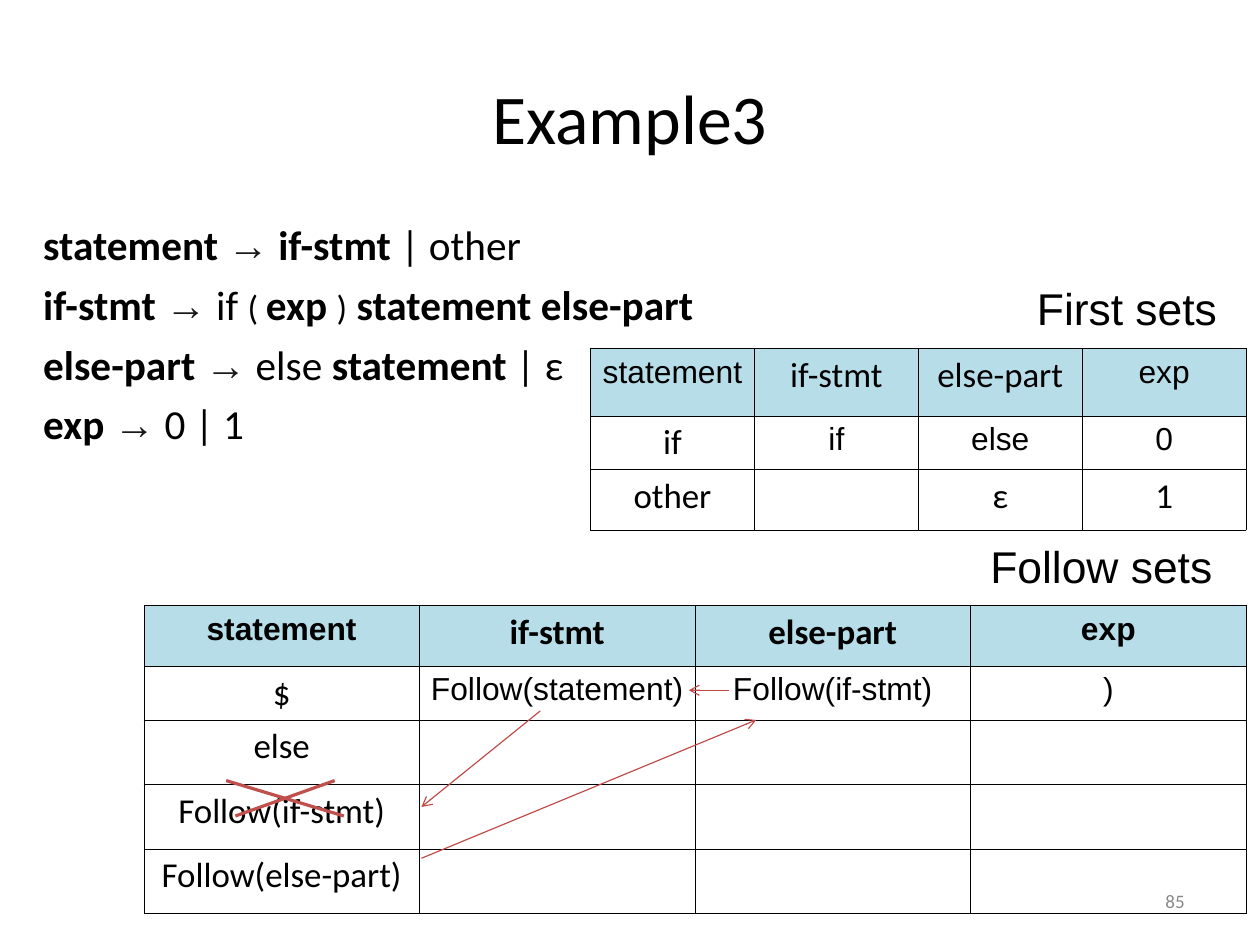
"""Build the Example3 slide: a grammar with its First and Follow sets."""
from dataclasses import dataclass

from lxml import etree
from pptx import Presentation
from pptx.dml.color import RGBColor
from pptx.enum.shapes import MSO_CONNECTOR
from pptx.enum.text import MSO_ANCHOR, PP_ALIGN
from pptx.oxml.ns import qn
from pptx.util import Inches, Length, Pt

STRAIGHT = MSO_CONNECTOR.STRAIGHT
TOP, MIDDLE = MSO_ANCHOR.TOP, MSO_ANCHOR.MIDDLE
LEFT, CENTER, RIGHT = PP_ALIGN.LEFT, PP_ALIGN.CENTER, PP_ALIGN.RIGHT
WIDTH, HEIGHT = Inches(11.03), Inches(8.26)


@dataclass(frozen=True)
class Theme:
    serifless: str = "Calibri"
    plain: str = "Arial"
    ink: str = "000000"
    arrow_ink: str = "191919"
    faint: str = "898989"
    header: str = "B7DEE8"
    trace: str = "BE4B48"
    strike: str = "C0504D"
    title_size: int = 44
    caption_size: int = 28
    rule_size: int = 26
    bracket_size: int = 22
    cell_size: int = 22
    plain_cell_size: int = 20
    number_size: int = 12
    border: float = 0.34
    rule_gap: float = 6.5


THEME = Theme()


@dataclass(frozen=True)
class Area:
    """Left, top, width and height in hundredths of the slide."""
    left: float
    top: float
    width: float
    height: float


@dataclass(frozen=True)
class Label:
    text: str
    area: Area
    font: str
    size: int
    color: str = THEME.ink
    align: PP_ALIGN = LEFT
    anchor: MSO_ANCHOR = TOP
    wrap: bool = True


@dataclass(frozen=True)
class Sets:
    left: float
    top: float
    width: float
    row_heights: tuple[float, ...]
    rows: tuple[tuple[str, ...], ...]
    bold_header: bool


@dataclass(frozen=True)
class Stroke:
    start: tuple[float, float]
    end: tuple[float, float]
    color: str = THEME.trace
    weight: float = 0.75
    arrow: bool = True


LABELS = (
    Label("85", Area(71.62, 92.74, 23.3, 5.33), THEME.serifless, THEME.number_size,
          THEME.faint, RIGHT, MIDDLE),
    Label("Example3", Area(5, 4, 90, 16.7), THEME.serifless, THEME.title_size,
          align=CENTER, anchor=MIDDLE),
    Label("First sets", Area(81.41, 29.18, 16.14, 6.9), THEME.plain,
          THEME.caption_size, wrap=False),
    Label("Follow sets", Area(77.7, 56.54, 19.4, 6.9), THEME.plain,
          THEME.caption_size, wrap=False),
)
GRAMMAR_AREA = Area(2.54, 22.64, 86.4, 31.24)
NONTERMINALS = ("statement", "if-stmt", "else-part", "exp")
GRAMMAR = (
    (NONTERMINALS[0], " ", "→", " ", "if-stmt", " | other"),
    (NONTERMINALS[1], " ", "→", " if ", "( ", "exp", " ", ")", " ", "statement", " ", "else-part"),
    (NONTERMINALS[2], " ", "→", " else ", "statement", " | ε"),
    (NONTERMINALS[3], " ", "→", " 0 | 1"),
)
FIRST_SETS = Sets(46.87, 36.93, 52.04, (7.14, 5.69, 6.42), (
    NONTERMINALS,
    ("if", "if", "else", "0"),
    ("other", "", "ε", "1"),
), False)
FOLLOW_SETS = Sets(11.42, 64.16, 87.49, (6.42, 5.69, 6.84, 6.84, 6.84), (
    NONTERMINALS,
    ("$", "Follow(statement)", "Follow(if-stmt)", ")"),
    ("else", "", "", ""),
    ("Follow(if-stmt)", "", "", ""),
    ("Follow(else-part)", "", "", ""),
), True)
STROKES = (
    Stroke((42.88, 75.31), (33.45, 85.48)),
    Stroke((33.45, 90.92), (60.02, 76.27)),
    Stroke((57.84, 73.12), (54.67, 73.12)),
    Stroke((17.95, 82.69), (27.29, 86.44), THEME.strike, 2, False),
    Stroke((18.68, 86.44), (26.56, 82.69), THEME.strike, 2, False),
)


def across(share: float) -> Length:
    return Length(round(WIDTH * share / 100))


def down(share: float) -> Length:
    return Length(round(HEIGHT * share / 100))


def style(font, family: str, size: float, color: str = THEME.ink, bold: bool = False) -> None:
    font.name, font.size, font.bold = family, Pt(size), bold
    font.color.rgb = RGBColor.from_string(color)


def add_frame(slide, area: Area, wrap: bool = True):
    frame = slide.shapes.add_textbox(across(area.left), down(area.top),
                                     across(area.width), down(area.height)).text_frame
    frame.word_wrap = wrap
    return frame


def add_label(slide, label: Label) -> None:
    frame = add_frame(slide, label.area, label.wrap)
    frame.vertical_anchor = label.anchor
    line = frame.paragraphs[0]
    line.text, line.alignment = label.text, label.align
    style(line.font, label.font, label.size, label.color)


def add_grammar(slide) -> None:
    frame = add_frame(slide, GRAMMAR_AREA)
    for index, symbols in enumerate(GRAMMAR):
        rule = frame.add_paragraph() if index else frame.paragraphs[0]
        if index:
            rule.space_before = Pt(THEME.rule_gap)
        for symbol in symbols:
            run = rule.add_run()
            run.text = symbol
            if symbol == "→":
                style(run.font, THEME.plain, THEME.rule_size, THEME.arrow_ink)
            else:
                size = THEME.bracket_size if symbol.strip() in ("(", ")") else THEME.rule_size
                style(run.font, THEME.serifless, size, bold=symbol in NONTERMINALS)


def add_borders(cell) -> None:
    properties = cell._tc.get_or_add_tcPr()
    for position, side in enumerate(("a:lnL", "a:lnR", "a:lnT", "a:lnB")):
        edge = etree.Element(qn(side), w=str(Pt(THEME.border)))
        fill = etree.SubElement(edge, qn("a:solidFill"))
        etree.SubElement(fill, qn("a:srgbClr"), val=THEME.ink)
        properties.insert(position, edge)


def add_sets(slide, sets: Sets) -> None:
    columns = len(NONTERMINALS)
    table = slide.shapes.add_table(len(sets.rows), columns, across(sets.left), down(sets.top),
                                   across(sets.width), down(sum(sets.row_heights))).table
    for row, (height, entries) in enumerate(zip(sets.row_heights, sets.rows)):
        table.rows[row].height = down(height)
        for column, entry in enumerate(entries):
            cell = table.cell(row, column)
            if row == 0:
                cell.fill.solid()
                cell.fill.fore_color.rgb = RGBColor.from_string(THEME.header)
            else:
                cell.fill.background()
            add_borders(cell)
            line = cell.text_frame.paragraphs[0]
            line.text, line.alignment = entry, CENTER
            plain = column in (0, columns - 1) if row == 0 else row == 1 and column > 0
            family, size = ((THEME.plain, THEME.plain_cell_size) if plain
                            else (THEME.serifless, THEME.cell_size))
            style(line.font, family, size, bold=row == 0 and sets.bold_header)


def add_stroke(slide, stroke: Stroke) -> None:
    (x1, y1), (x2, y2) = stroke.start, stroke.end
    connector = slide.shapes.add_connector(STRAIGHT, across(x1), down(y1), across(x2), down(y2))
    connector.line.color.rgb = RGBColor.from_string(stroke.color)
    connector.line.width = Pt(stroke.weight)
    if stroke.arrow:
        etree.SubElement(connector.line._get_or_add_ln(), qn("a:tailEnd"), type="arrow")
    etree.SubElement(connector._element.spPr, qn("a:effectLst"))


def main() -> None:
    deck = Presentation()
    deck.slide_width, deck.slide_height = WIDTH, HEIGHT
    slide = deck.slides.add_slide(deck.slide_layouts[6])
    for label in LABELS:
        add_label(slide, label)
    add_grammar(slide)
    for sets in (FIRST_SETS, FOLLOW_SETS):
        add_sets(slide, sets)
    for stroke in STROKES:
        add_stroke(slide, stroke)
    deck.save("out.pptx")


if __name__ == "__main__":
    main()
